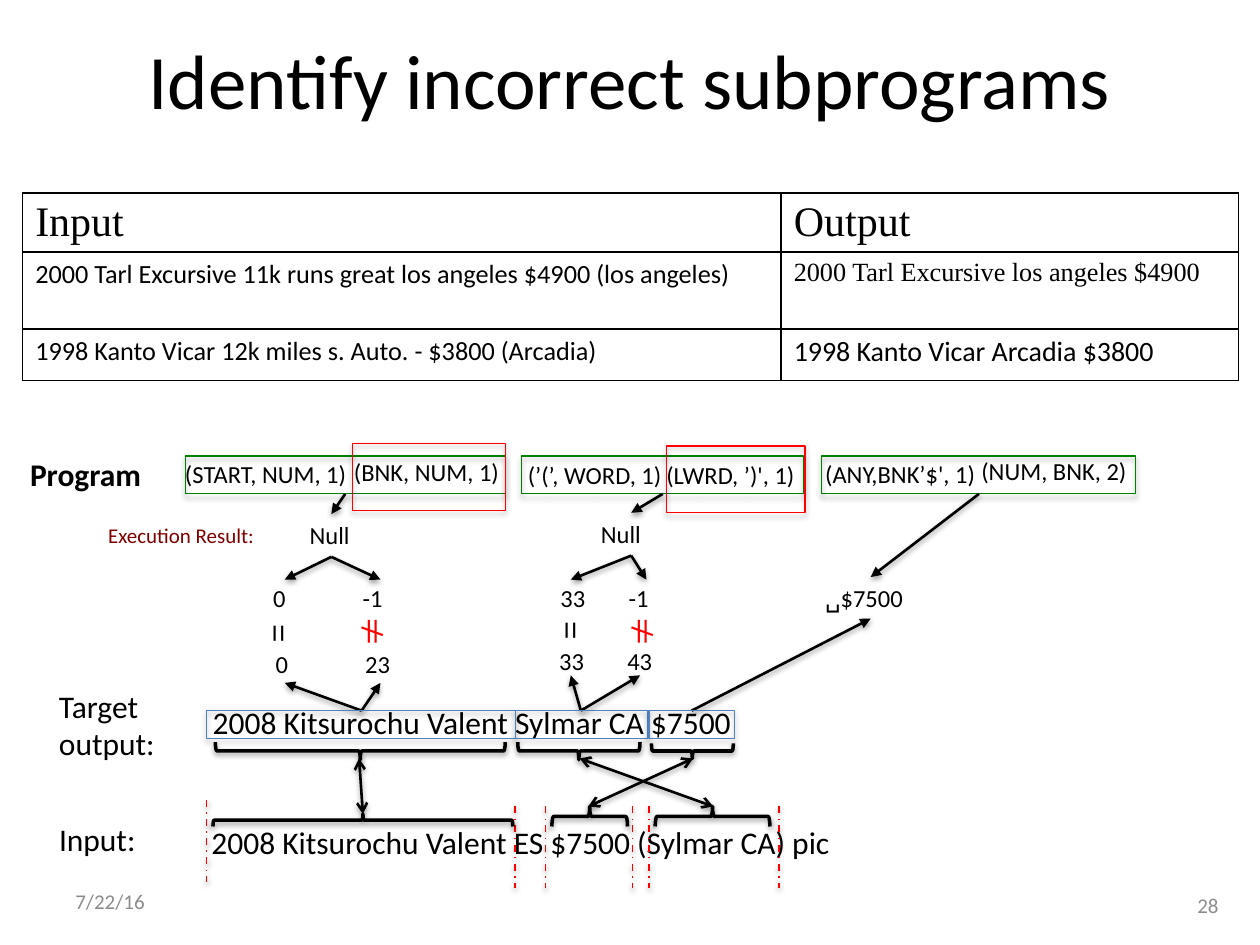
from dataclasses import dataclass

from lxml import etree
from pptx import Presentation
from pptx import util as u
from pptx.dml import color
from pptx.enum import dml, shapes, text
from pptx.oxml import ns


@dataclass(frozen=True)
class Theme:
    black: str = "000000"
    red: str = "FF0000"
    green: str = "008000"
    blue: str = "4F81BD"
    maroon: str = "800000"
    grey: str = "8C8C8C"
    sans: str = "Calibri"
    serif: str = "Times New Roman"
    symbol: str = "Noto Sans CJK JP"
    title: int = 44
    heading: int = 24
    label: int = 18
    output: int = 16
    cell: int = 15
    code: int = 14
    small: int = 12


THEME = Theme()


def rgb(value):
    return color.RGBColor.from_string(value)


def child(parent, tag, **attributes):
    return etree.SubElement(parent, ns.qn(tag), attributes)


def add_run(para, words, size, ink=THEME.black, font=THEME.sans, bold=False):
    span = para.add_run()
    span.text = words
    span.font.size = u.Pt(size)
    span.font.name = font
    span.font.bold = bold
    span.font.color.rgb = rgb(ink)
    child(span.font._element, "a:ea", typeface=font)


def add_text(page, words, left, top, width, height=0.34, size=THEME.code, wrap=True,
             turn=0, align=text.PP_ALIGN.LEFT, anchor=text.MSO_ANCHOR.TOP, tab=None, **style):
    box = page.shapes.add_textbox(*map(u.Inches, (left, top, width, height)))
    box.rotation = turn
    frame = box.text_frame
    frame.word_wrap = wrap
    frame.vertical_anchor = anchor
    for index, line in enumerate(words.split("\n")):
        para = frame.add_paragraph() if index else frame.paragraphs[0]
        para.alignment = align
        if tab:
            stops = child(para._p.get_or_add_pPr(), "a:tabLst")
            child(stops, "a:tab", pos=str(u.Inches(tab)), algn="l")
        add_run(para, line, size, **style)


def add_shadow(item, alpha, distance):
    effects = child(item._element.spPr, "a:effectLst")
    shadow = child(effects, "a:outerShdw", blurRad="40000", dist=str(distance),
                   dir="5400000", rotWithShape="0")
    ink = child(shadow, "a:srgbClr", val=THEME.black)
    child(ink, "a:alpha", val=str(alpha * 1000))


def add_outline(page, kind, left, top, width, height, ink, weight=0.75, turn=0):
    shape = page.shapes.add_shape(kind, *map(u.Inches, (left, top, width, height)))
    shape.rotation = turn
    shape.fill.background()
    shape.line.color.rgb = rgb(ink)
    shape.line.width = u.Pt(weight)
    return shape


def add_frame(page, left, top, width, height, ink):
    frame = add_outline(page, shapes.MSO_SHAPE.RECTANGLE, left, top, width, height, ink)
    add_shadow(frame, 35, 23000)


def add_brace(page, left, top, span, depth, turn):
    x = left + (span - depth) / 2
    y = top + (depth - span) / 2
    brace = add_outline(page, shapes.MSO_SHAPE.LEFT_BRACE, x, y, depth, span,
                        THEME.black, 2, turn)
    add_shadow(brace, 38, 20000)


def add_line(page, start, end, ink=THEME.black, weight=1.5, head=None, tail=None, dash=None):
    line = page.shapes.add_connector(shapes.MSO_CONNECTOR.STRAIGHT,
                                     *map(u.Inches, (*start, *end)))
    line.line.color.rgb = rgb(ink)
    line.line.width = u.Pt(weight)
    if dash:
        line.line.dash_style = dash
    for tag, kind in (("a:headEnd", head), ("a:tailEnd", tail)):
        if kind:
            child(line.line._ln, tag, type=kind)
    add_shadow(line, 38, 20000)


def add_border(cell):
    properties = cell._tc.get_or_add_tcPr()
    for position, side in enumerate(("a:lnL", "a:lnR", "a:lnT", "a:lnB")):
        edge = etree.Element(ns.qn(side), w=str(u.Pt(1)))
        child(child(edge, "a:solidFill"), "a:srgbClr", val=THEME.black)
        properties.insert(position, edge)


def add_examples(page):
    rows = [
        [("Input", THEME.heading, THEME.serif), ("Output", THEME.heading, THEME.serif)],
        [("2000 Tarl Excursive 11k runs great los angeles $4900 (los angeles)",
          THEME.cell, THEME.sans),
         ("2000 Tarl Excursive los angeles $4900", THEME.cell, THEME.serif)],
        [("1998 Kanto Vicar 12k miles s. Auto. - $3800 (Arcadia)", THEME.cell, THEME.sans),
         ("1998 Kanto Vicar Arcadia $3800", THEME.output, THEME.sans)],
    ]
    table = page.shapes.add_table(3, 2, *map(u.Inches, (0.18, 1.53, 9.65, 1.49))).table
    table.first_row = table.horz_banding = False
    for column, width in zip(table.columns, (6.02, 3.63)):
        column.width = u.Inches(width)
    for row, height, contents in zip(table.rows, (0.47, 0.61, 0.41), rows):
        row.height = u.Inches(height)
        for cell, (words, size, font) in zip(row.cells, contents):
            cell.fill.background()
            add_border(cell)
            add_run(cell.text_frame.paragraphs[0], words, size, font=font)


def add_program(page):
    add_text(page, "Program", 0.14, 3.56, 1.1, 0.4, THEME.label, wrap=False, bold=True)
    for words, left, top, width in [
        ("(START, NUM, 1)", 1.37, 3.59, 1.74), ("(BNK, NUM, 1)", 2.71, 3.58, 1.45),
        ("(’(’, WORD, 1)", 4.09, 3.6, 1.65), ("(LWRD, ’)', 1)", 5.19, 3.6, 1.26),
        ("(ANY,BNK’$', 1)", 6.45, 3.59, 1.65), ("(NUM, BNK, 2)", 7.69, 3.57, 1.6),
    ]:
        add_text(page, words, left, top, width)
    for left, width in ((1.47, 2.54), (4.14, 2.24), (6.52, 2.49)):
        add_frame(page, left, 3.62, width, 0.3, THEME.green)
    for left, top, width in ((2.8, 3.52, 1.21), (5.29, 3.54, 1.1)):
        add_frame(page, left, top, width, 0.53, THEME.red)


def add_results(page):
    add_text(page, "Execution Result:", 0.76, 4.1, 1.38, 0.3, THEME.small,
             wrap=False, ink=THEME.maroon)
    add_text(page, "Null", 2.36, 4.08, 0.54)
    add_text(page, "Null", 4.67, 4.07, 0.69)
    add_text(page, "␣$7500", 6.45, 4.58, 0.92)
    for words, left, top, tab in [
        ("0\t-1", 2.07, 4.58, 0.71), ("33\t-1", 4.35, 4.58, 0.54),
        ("0\t23", 2.09, 5.1, 0.71), ("33\t43", 4.34, 5.08, 0.54),
    ]:
        add_text(page, words, left, top, 1.3, tab=tab)
    for words, left, top, width, ink in [
        ("=", 2.04, 4.83, 0.33, THEME.black), ("≠", 2.73, 4.81, 0.45, THEME.red),
        ("=", 4.36, 4.81, 0.33, THEME.black), ("≠", 4.87, 4.81, 0.45, THEME.red),
    ]:
        add_text(page, words, left, top, width, 0.4, THEME.label, wrap=False,
                 turn=270, ink=ink, font=THEME.symbol)
    for start, *ends in [
        ((2.74, 3.92), (2.63, 4.08)), ((5.26, 3.92), (5.01, 4.07)),
        ((7.77, 3.92), (6.91, 4.58)), ((5.49, 5.64), (6.91, 4.91)),
        ((2.63, 4.42), (2.26, 4.6), (3.02, 4.6)),
        ((5.01, 4.41), (4.53, 4.6), (5.13, 4.6)),
        ((2.87, 5.64), (2.26, 5.42), (3.02, 5.42)),
        ((4.61, 5.64), (4.53, 5.36), (5.08, 5.36)),
    ]:
        for end in ends:
            add_line(page, start, end, tail="triangle")


def add_alignment(page):
    add_text(page, "Target\noutput:", 0.37, 5.4, 0.97, 0.71, THEME.label, wrap=False)
    add_text(page, "Input:", 0.37, 6.46, 0.82, 0.4, THEME.label, wrap=False)
    add_text(page, "2008 Kitsurochu Valent Sylmar CA $7500", 1.59, 5.53, 4.6, 0.4, THEME.label)
    add_text(page, "2008 Kitsurochu Valent ES $7500 (Sylmar CA) pic", 1.58, 6.48, 5.71, 0.4,
             THEME.label)
    for left, width in ((1.64, 2.45), (4.09, 1.05), (5.15, 0.68)):
        add_frame(page, left, 5.64, width, 0.22, THEME.blue)
    for x, top in ((1.64, 6.35), *((x, 6.4) for x in (4.09, 4.33, 5.02, 5.15, 6.18))):
        add_line(page, (x, top), (x, top + 0.65), THEME.red, 1,
                 dash=dml.MSO_LINE.DASH_DOT)
    for left, top, span, depth, turn in [
        (1.71, 5.89, 2.3, 0.14, 270), (4.11, 5.89, 0.97, 0.14, 270),
        (5.17, 5.9, 0.65, 0.12, 270), (1.69, 6.46, 2.38, 0.1, 90),
        (4.38, 6.4, 0.6, 0.16, 90), (5.2, 6.4, 0.91, 0.16, 90),
    ]:
        add_brace(page, left, top, span, depth, turn)
    for start, end in [((2.85, 6.02), (2.88, 6.46)), ((4.6, 6.02), (5.66, 6.4)),
                       ((5.5, 6.02), (4.67, 6.4))]:
        add_line(page, start, end, head="arrow", tail="arrow")


def add_title(page, words):
    title = page.shapes.title
    title.left, title.top, title.width, title.height = map(u.Inches, (0.5, 0, 9, 1.25))
    title.text_frame.vertical_anchor = text.MSO_ANCHOR.MIDDLE
    para = title.text_frame.paragraphs[0]
    para.alignment = text.PP_ALIGN.CENTER
    add_run(para, words, THEME.title)


def add_footer(page):
    for words, left, top, align in [("7/22/16", 0.5, 6.95, text.PP_ALIGN.LEFT),
                                    ("28", 7.44, 6.98, text.PP_ALIGN.RIGHT)]:
        add_text(page, words, left, top, 2.33, 0.4, THEME.small, align=align,
                 anchor=text.MSO_ANCHOR.MIDDLE, ink=THEME.grey)


def main():
    deck = Presentation()
    deck.slide_width, deck.slide_height = u.Inches(10), u.Inches(7.5)
    page = deck.slides.add_slide(deck.slide_layouts[5])
    add_title(page, "Identify incorrect subprograms")
    add_examples(page)
    add_program(page)
    add_results(page)
    add_alignment(page)
    add_footer(page)
    deck.save("out.pptx")


if __name__ == "__main__":
    main()
